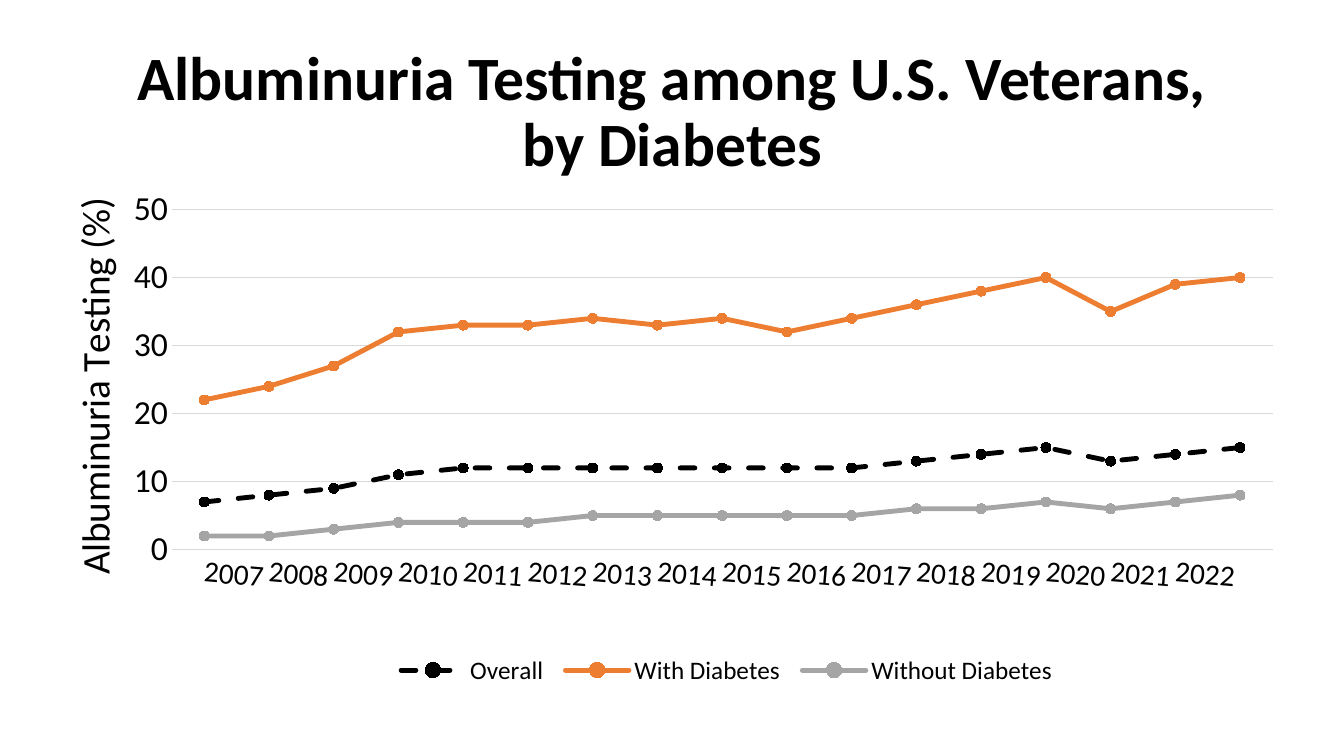
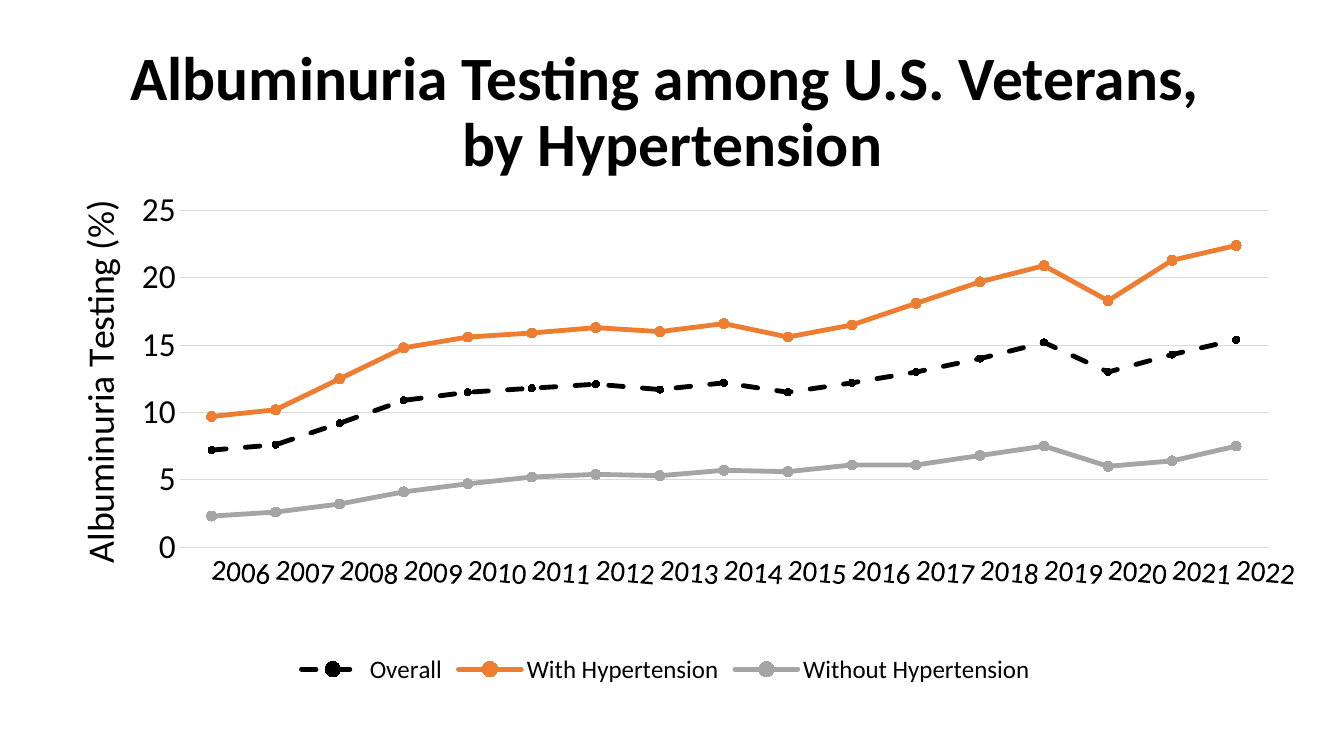
import pptx
import pptx.chart.data
import pptx.dml.color
import pptx.enum.chart
import pptx.enum.dml
import pptx.enum.text
import pptx.oxml
import pptx.oxml.ns
import pptx.util
from lxml import etree

Inches, Pt = pptx.util.Inches, pptx.util.Pt
qn = pptx.oxml.ns.qn

FONT = "Calibri"
BLACK, ORANGE, GRAY, RULE = "000000", "ED7D31", "A5A5A5", "D9D9D9"
TITLE_BOX = (0.92, 0.4, 11.5, 1.45)
AXIS_TITLE = "Albuminuria Testing (%)"

DIABETES = {
    "title": "Albuminuria Testing among U.S. Veterans,\vby Diabetes",
    "condition": "Diabetes",
    "box": (0.42, 1.67, 12.35, 5.24),
    "plot": {"x": 0.104, "y": 0.078, "w": 0.884, "h": 0.644},
    "legend": {"x": 0.277, "y": 0.91, "w": 0.545, "h": 0.08},
    "axis_title": {"x": 0.015, "y": 0.043},
    "first_year": 2007,
    "scale": {"minimum_scale": 0, "maximum_scale": 50, "major_unit": 10},
    "axis_title_size": 28,
    "overall_marker": 7,
    "overall": (7, 8, 9, 11, 12, 12, 12, 12, 12, 12, 12, 13, 14, 15, 13, 14, 15),
    "with": (22, 24, 27, 32, 33, 33, 34, 33, 34, 32, 34, 36, 38, 40, 35, 39, 40),
    "without": (2, 2, 3, 4, 4, 4, 5, 5, 5, 5, 5, 6, 6, 7, 6, 7, 8),
}
HYPERTENSION = {
    "title": "Albuminuria Testing among U.S. Veterans, \vby Hypertension",
    "condition": "Hypertension",
    "box": (0.47, 1.61, 12.39, 5.26),
    "plot": {"x": 0.107, "y": 0.091, "w": 0.881, "h": 0.635},
    "legend": {"x": 0.199, "y": 0.918},
    "axis_title": {"x": 0.016, "y": 0.052},
    "first_year": 2006,
    "scale": {"minimum_scale": 0, "maximum_scale": 25, "major_unit": 5},
    "axis_title_size": 27,
    "overall_marker": 5,
    "overall": (7.2, 7.6, 9.2, 10.9, 11.5, 11.8, 12.1, 11.7, 12.2,
                11.5, 12.2, 13, 14, 15.2, 13, 14.3, 15.4),
    "with": (9.7, 10.2, 12.5, 14.8, 15.6, 15.9, 16.3, 16, 16.6,
             15.6, 16.5, 18.1, 19.7, 20.9, 18.3, 21.3, 22.4),
    "without": (2.3, 2.6, 3.2, 4.1, 4.7, 5.2, 5.4, 5.3, 5.7,
                5.6, 6.1, 6.1, 6.8, 7.5, 6, 6.4, 7.5),
}


def rgb(hex_color):
    return pptx.dml.color.RGBColor.from_string(hex_color)


def set_all(target, values):
    for name, value in values.items():
        setattr(target, name, value)


def style_font(font, size, bold=False):
    set_all(font, {"name": FONT, "size": Pt(size), "bold": bold})
    font.color.rgb = rgb(BLACK)


def style_line(line, color, width):
    line.color.rgb = rgb(color)
    line.width = Pt(width)


def set_layout(parent, index, fractions, inner=False):
    """Fix the place of a chart part, in fractions of the chart."""
    for old in parent.findall(qn("c:layout")):
        parent.remove(old)
    layout = etree.Element(qn("c:layout"))
    manual = etree.SubElement(layout, qn("c:manualLayout"))
    settings = {"layoutTarget": "inner"} if inner else {}
    settings.update({"xMode": "edge", "yMode": "edge"}, **fractions)
    for tag, value in settings.items():
        etree.SubElement(manual, qn(f"c:{tag}")).set("val", str(value))
    parent.insert(index, layout)


def add_title(slide, box, text):
    title = slide.shapes.title
    set_all(title, dict(zip(("left", "top", "width", "height"), map(Inches, box))))
    frame = title.text_frame
    set_all(frame, {
        "text": text,
        "word_wrap": True,
        "auto_size": pptx.enum.text.MSO_AUTO_SIZE.NONE,
        "vertical_anchor": pptx.enum.text.MSO_ANCHOR.MIDDLE,
    })
    paragraph = frame.paragraphs[0]
    set_all(paragraph, {"alignment": pptx.enum.text.PP_ALIGN.CENTER, "line_spacing": 0.9})
    for run in paragraph.runs:
        style_font(run.font, 44, bold=True)


def style_axes(chart, topic):
    no_tick = pptx.enum.chart.XL_TICK_MARK.NONE
    years, percent = chart.category_axis, chart.value_axis
    for axis, size in ((years, 21), (percent, 24)):
        set_all(axis, {"major_tick_mark": no_tick, "minor_tick_mark": no_tick})
        style_font(axis.tick_labels.font, size)
    style_line(years.format.line, RULE, 0.75)
    years._element.find(qn("c:txPr")).find(qn("a:bodyPr")).set("rot", "300000")

    set_all(percent, topic["scale"])
    set_all(percent.tick_labels, {"number_format": "0", "number_format_is_linked": False})
    percent.format.line.fill.background()
    style_line(percent.major_gridlines.format.line, RULE, 0.75)
    frame = percent.axis_title.text_frame
    frame.text = AXIS_TITLE
    style_font(frame.paragraphs[0].runs[0].font, topic["axis_title_size"])
    body = frame._element.find(qn("a:bodyPr"))
    body.set("rot", "-5400000")
    body.set("vert", "horz")
    set_layout(percent.axis_title._element, 1, topic["axis_title"])


def style_series(series, color, marker_size):
    series.smooth = False
    style_line(series.format.line, color, 3.5)
    series._element.find(qn("c:spPr")).find(qn("a:ln")).set("cap", "rnd")
    marker = series.marker
    set_all(marker, {"style": pptx.enum.chart.XL_MARKER_STYLE.CIRCLE, "size": marker_size})
    marker.format.fill.solid()
    marker.format.fill.fore_color.rgb = rgb(color)
    style_line(marker.format.line, color, 0.75)


def add_testing_chart(slide, box, topic):
    data = pptx.chart.data.CategoryChartData()
    data.categories = [str(year) for year in range(topic["first_year"], 2023)]
    condition = topic["condition"]
    data.add_series("Overall", topic["overall"])
    data.add_series(f"With {condition}", topic["with"])
    data.add_series(f"Without {condition}", topic["without"])
    chart = slide.shapes.add_chart(
        pptx.enum.chart.XL_CHART_TYPE.LINE_MARKERS, *map(Inches, box), data).chart
    set_all(chart, {"has_title": False, "has_legend": True})
    style_font(chart.font, 10)
    chart.plots[0].vary_by_categories = False

    styles = ((BLACK, topic["overall_marker"]), (ORANGE, 7), (GRAY, 7))
    for series, (color, marker_size) in zip(chart.plots[0].series, styles):
        style_series(series, color, marker_size)
    overall = chart.plots[0].series[0]
    overall.format.line.dash_style = pptx.enum.dml.MSO_LINE.DASH
    style_axes(chart, topic)

    legend = chart.legend
    set_all(legend, {"position": pptx.enum.chart.XL_LEGEND_POSITION.BOTTOM,
                     "include_in_layout": False})
    style_font(legend.font, 18)
    set_layout(legend._element, 1, topic["legend"])
    plot_area = chart._chartSpace.find(qn("c:chart")).find(qn("c:plotArea"))
    set_layout(plot_area, 0, topic["plot"], inner=True)


def add_topic_slide(deck, topic):
    slide = deck.slides.add_slide(deck.slide_layouts[5])
    add_title(slide, TITLE_BOX, topic["title"])
    add_testing_chart(slide, topic["box"], topic)


def main():
    deck = pptx.Presentation()
    set_all(deck, {"slide_width": Inches(13.33), "slide_height": Inches(7.5)})
    for topic in (DIABETES, HYPERTENSION):
        add_topic_slide(deck, topic)
    deck.save("out.pptx")


if __name__ == "__main__":
    main()
